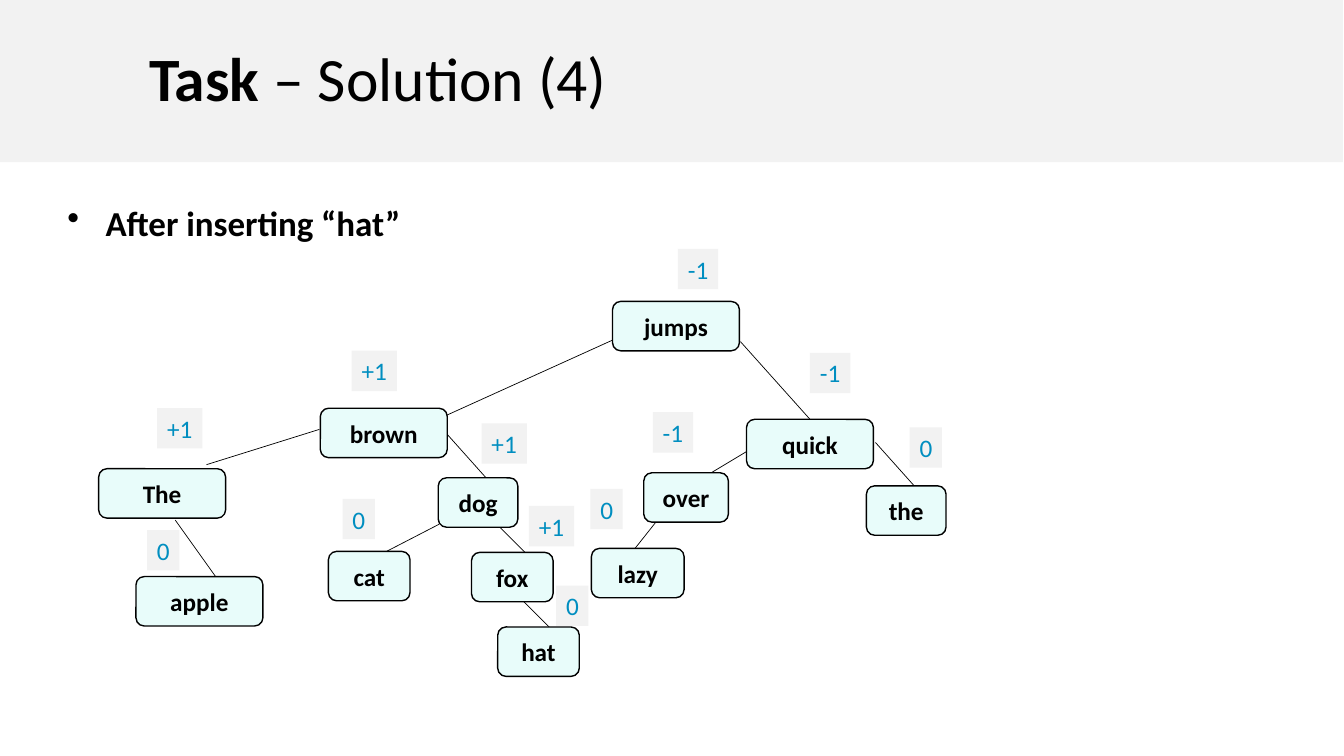
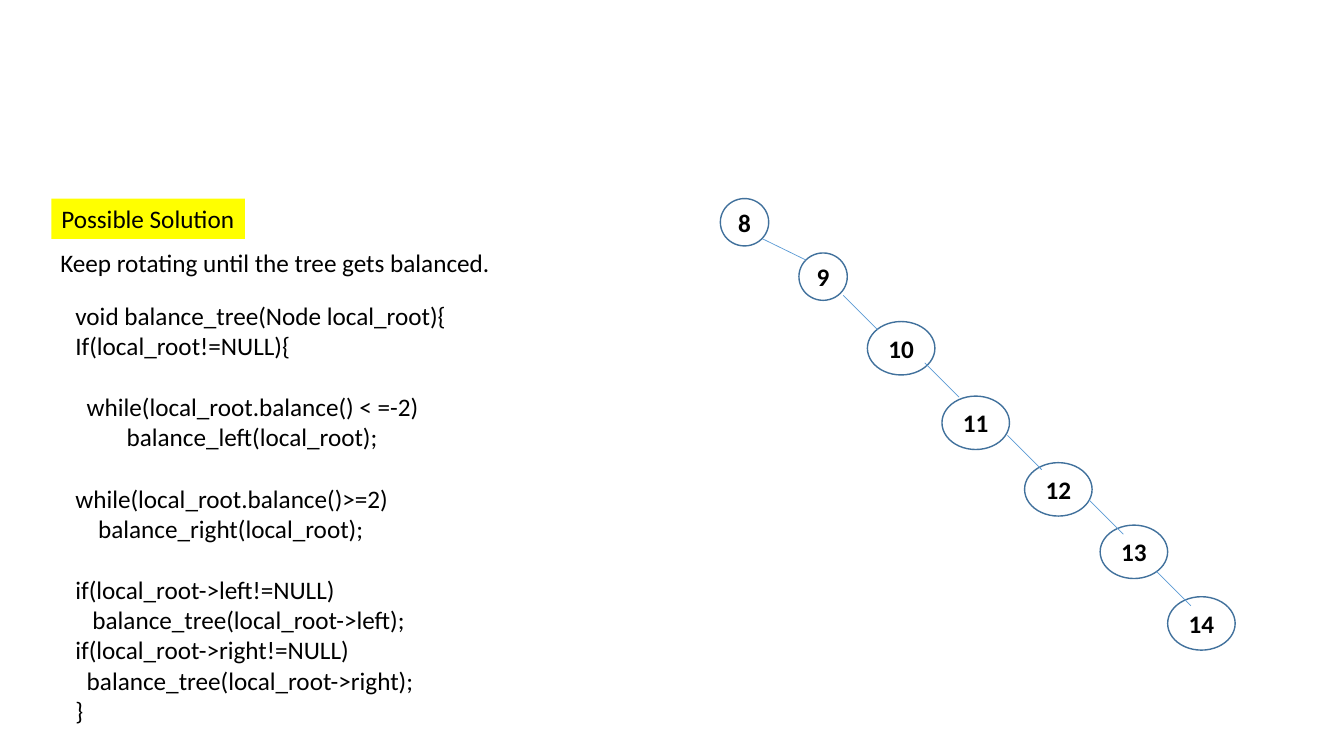
from dataclasses import dataclass
from typing import NamedTuple

import pptx
import pptx.dml.color
import pptx.enum.shapes
import pptx.enum.text
import pptx.oxml
import pptx.oxml.ns
import pptx.util
from pptx.util import Inches

Kind = pptx.enum.shapes.MSO_SHAPE
Align = pptx.enum.text.PP_ALIGN
Anchor = pptx.enum.text.MSO_ANCHOR


@dataclass(frozen=True)
class Theme:
    font: str = "Calibri"
    black: str = "000000"
    white: str = "FFFFFF"
    gray: str = "F2F2F2"
    mint: str = "E8FCFA"
    teal: str = "008EC0"
    yellow: str = "FFFF00"
    navy: str = "41719C"
    blue: str = "5B9BD5"
    title: float = 44
    lead: float = 25
    body: float = 18
    edge: float = 1
    link: float = 0.5


THEME = Theme()


class Box(NamedTuple):
    x: float
    y: float
    w: float
    h: float


class Node(NamedTuple):
    text: str
    box: Box


class Tag(NamedTuple):
    text: str
    x: float
    y: float


class Link(NamedTuple):
    x1: float
    y1: float
    x2: float
    y2: float


class Code(NamedTuple):
    text: str
    indent: int = 0
    gap: bool = False


# Tree slide data
NODE_H = 0.49
WORDS = [Node(text, Box(x, y, w, NODE_H)) for text, x, y, w in (
    ("jumps", 6.08, 2.99, 1.26), ("brown", 3.18, 4.05, 1.26),
    ("quick", 7.41, 4.16, 1.26), ("The", 0.98, 4.65, 1.26),
    ("dog", 4.35, 4.74, 0.79), ("over", 6.39, 4.69, 0.84),
    ("the", 8.6, 4.82, 0.79), ("apple", 1.35, 5.72, 1.26),
    ("cat", 3.26, 5.47, 0.81), ("fox", 4.68, 5.48, 0.81),
    ("lazy", 5.87, 5.44, 0.92), ("hat", 4.94, 6.22, 0.81))]
EDGES = [
    Link(4.41, 4.13, 6.09, 3.37), Link(7.35, 3.39, 8.04, 4.16),
    Link(7.06, 4.69, 7.41, 4.48), Link(2.05, 4.61, 3.17, 4.26),
    Link(4.44, 4.31, 4.86, 4.78), Link(8.69, 4.39, 9.11, 4.86),
    Link(6.28, 5.47, 6.51, 5.18), Link(3.76, 5.51, 4.36, 5.2),
    Link(1.74, 5.16, 2.14, 5.72), Link(4.94, 5.21, 5.24, 5.51),
    Link(5.19, 5.96, 5.49, 6.26)]
TAG_W = {"-1": 0.4, "+1": 0.45, "0": 0.32}
TAG_H = 0.4
TAGS = [
    Tag("-1", 6.73, 2.47), Tag("+1", 3.49, 3.48), Tag("-1", 8.04, 3.5),
    Tag("+1", 1.56, 4.05), Tag("+1", 4.78, 4.2), Tag("-1", 6.48, 4.09),
    Tag("0", 9.03, 4.24), Tag("0", 1.46, 5.26), Tag("0", 3.4, 4.95),
    Tag("+1", 5.25, 5.02), Tag("0", 5.86, 4.85), Tag("0", 5.52, 5.81)]

# Chain slide data
SMALL, LARGE = (0.48, 0.47), (0.67, 0.53)
SPOTS = [(7.15, 1.97), (7.93, 2.51), (8.61, 3.19), (9.35, 3.93),
         (10.17, 4.59), (10.92, 5.21), (11.59, 5.92)]
CHAIN = [Node(str(num), Box(x, y, *(SMALL if num < 10 else LARGE)))
         for num, (x, y) in enumerate(SPOTS, 8)]
STEP = 0.34
JOINS = [Link(7.57, 2.37, 8, 2.58)] + [
    Link(x, y, x + STEP, y + STEP) for x, y in (
        (8.37, 2.93), (9.18, 3.6), (10, 4.32), (10.81, 4.96), (11.48, 5.67))]
SPACE_W = 0.0565
LINE_H = 22
CODE = [
    Code("void balance_tree(Node local_root){"),
    Code("If(local_root!=NULL){"),
    Code("while(local_root.balance() < =-2)", 2, True),
    Code("balance_left(local_root);", 9),
    Code("while(local_root.balance()>=2)", 0, True),
    Code("balance_right(local_root);", 4),
    Code("if(local_root->left!=NULL)", 0, True),
    Code("balance_tree(local_root->left);", 3),
    Code("if(local_root->right!=NULL)"),
    Code("balance_tree(local_root->right);", 2),
    Code("}")]


def tint(name: str) -> pptx.dml.color.RGBColor:
    return pptx.dml.color.RGBColor.from_string(name)


def place(box: Box) -> list:
    return [Inches(side) for side in box]


def style(para, size: float = THEME.body, color: str = THEME.black,
          bold: bool = False, align=Align.LEFT) -> None:
    para.alignment = align
    font = para.font
    font.name, font.size, font.bold = THEME.font, pptx.util.Pt(size), bold
    font.color.rgb = tint(color)


def add_block(slide, kind, box: Box, fill: str, line: str = ""):
    shape = slide.shapes.add_shape(kind, *place(box))
    shape.shadow.inherit = False
    shape.fill.solid()
    shape.fill.fore_color.rgb = tint(fill)
    if line:
        shape.line.color.rgb = tint(line)
        shape.line.width = pptx.util.Pt(THEME.edge)
    else:
        shape.line.fill.background()
    return shape


def add_node(slide, kind, node: Node, fill: str, line: str) -> None:
    frame = add_block(slide, kind, node.box, fill, line).text_frame
    frame.vertical_anchor = Anchor.MIDDLE
    frame.paragraphs[0].text = node.text
    style(frame.paragraphs[0], bold=True, align=Align.CENTER)


def add_label(slide, text: str, box: Box, fill: str,
              color: str = THEME.black) -> None:
    frame = add_block(slide, Kind.RECTANGLE, box, fill).text_frame
    frame.word_wrap = False
    frame.vertical_anchor = Anchor.TOP
    frame.paragraphs[0].text = text
    style(frame.paragraphs[0], color=color)


def add_link(slide, link: Link, color: str) -> None:
    line = slide.shapes.add_connector(
        pptx.enum.shapes.MSO_CONNECTOR.STRAIGHT, *map(Inches, link))
    line.line.color.rgb = tint(color)
    line.line.width = pptx.util.Pt(THEME.link)
    props = line._element.spPr
    props.append(pptx.oxml.parse_xml(
        f"<a:effectLst {pptx.oxml.ns.nsdecls('a')}/>"))


def add_text(slide, box: Box):
    frame = slide.shapes.add_textbox(*place(box)).text_frame
    frame.word_wrap = True
    return frame


def add_title(slide, strong: str, plain: str) -> None:
    band = add_block(slide, Kind.RECTANGLE, Box(0, 0, 13.33, 1.61), THEME.gray)
    frame = band.text_frame
    frame.margin_left = Inches(1.48)
    frame.vertical_anchor = Anchor.MIDDLE
    para = frame.paragraphs[0]
    para.line_spacing = 0.9
    style(para, THEME.title)
    for text, bold in ((strong, True), (plain, False)):
        run = para.add_run()
        run.text, run.font.bold = text, bold


def add_bullet(slide, text: str, box: Box) -> None:
    para = add_text(slide, box).paragraphs[0]
    para.text = text
    style(para, THEME.lead, bold=True)
    props = para._p.get_or_add_pPr()
    props.set("marL", str(Inches(0.38)))
    props.set("indent", str(-Inches(0.38)))
    props.insert(0, pptx.oxml.parse_xml(
        f"<a:buChar {pptx.oxml.ns.nsdecls('a')} char='•'/>"))


def add_code(slide, lines: list[Code], box: Box) -> None:
    frame = add_text(slide, box)
    for rank, line in enumerate(lines):
        para = frame.add_paragraph() if rank else frame.paragraphs[0]
        para.text = line.text
        style(para)
        para._p.get_or_add_pPr().set(
            "marL", str(Inches(line.indent * SPACE_W)))
        if line.gap:
            para.space_before = pptx.util.Pt(LINE_H)


def draw_tree(slide) -> None:
    add_title(slide, "Task ", "– Solution (4)")
    add_bullet(slide, "After inserting “hat”", Box(0.57, 1.95, 12.46, 0.52))
    for edge in EDGES:
        add_link(slide, edge, THEME.black)
    for node in WORDS:
        add_node(slide, Kind.ROUNDED_RECTANGLE, node, THEME.mint, THEME.black)
    for tag in TAGS:
        box = Box(tag.x, tag.y, TAG_W[tag.text], TAG_H)
        add_label(slide, tag.text, box, THEME.gray, THEME.teal)


def draw_chain(slide) -> None:
    add_label(slide, "Possible Solution", Box(0.51, 1.97, 1.92, 0.4),
              THEME.yellow)
    for node in CHAIN:
        add_node(slide, Kind.OVAL, node, THEME.white, THEME.navy)
    for join in JOINS:
        add_link(slide, join, THEME.blue)
    para = add_text(slide, Box(0.5, 2.4, 5.54, 0.4)).paragraphs[0]
    para.text = "Keep rotating until the tree gets balanced."
    style(para)
    add_code(slide, CODE, Box(0.65, 2.93, 4, 4.4))


def main() -> None:
    deck = pptx.Presentation()
    deck.slide_width, deck.slide_height = Inches(13.34), Inches(7.5)
    for draw in (draw_tree, draw_chain):
        draw(deck.slides.add_slide(deck.slide_layouts[6]))
    deck.save("out.pptx")


if __name__ == "__main__":
    main()
